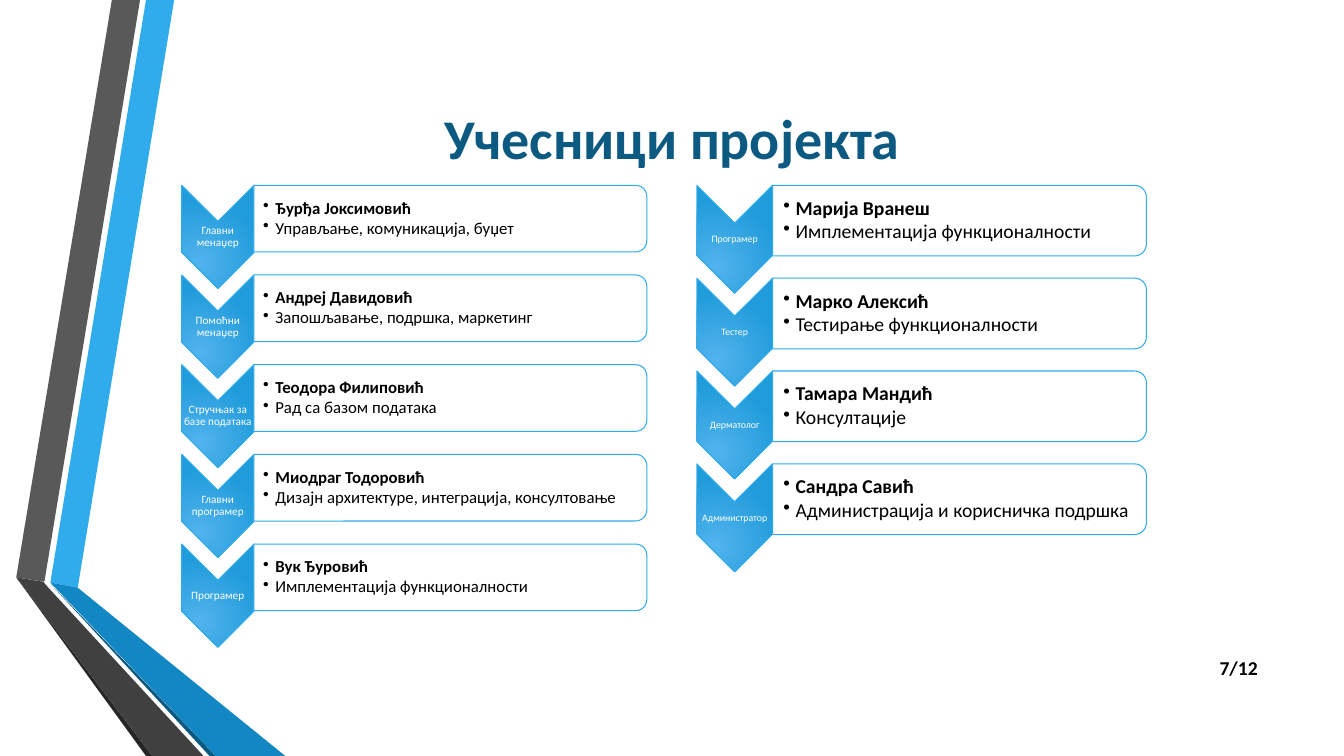
from lxml import etree
from pptx import Presentation
from pptx.dml.color import RGBColor
from pptx.enum.shapes import MSO_SHAPE as Kind
from pptx.enum.text import MSO_ANCHOR as Anchor, PP_ALIGN as Align
from pptx.oxml import parse_xml
from pptx.oxml.ns import nsdecls, qn
from pptx.util import Cm, Pt

FONT = "Calibri"
BLUE = "30ACEC"
GLOW = (
    f'<a:gradFill {nsdecls("a")} rotWithShape="1"><a:gsLst>'
    '<a:gs pos="0"><a:srgbClr val="51B3ED"/></a:gs>'
    '<a:gs pos="100000"><a:srgbClr val="219CDB"/></a:gs></a:gsLst>'
    '<a:path path="circle">'
    '<a:fillToRect l="50000" t="100000" r="100000" b="50000"/>'
    '</a:path></a:gradFill>'
)

BANDS = [
    (BLUE, [(1.27, 14.68), (1.96, 14.81), (4.39, 0), (3.68, 0)]),
    ("595959", [(3.53, 0), (2.82, 0), (0.41, 14.55), (1.12, 14.66)]),
    ("262626", [(0.41, 14.55), (3.68, 19.05), (3.84, 19.05)]),
    ("0C5A82", [(1.27, 14.71), (5.28, 19.05), (5.44, 19.05)]),
    ("1287C3", [(1.27, 14.68), (5.44, 19.05), (7.19, 19.05), (1.96, 14.81)]),
    ("404040", [(5.13, 19.05), (1.22, 14.81), (1.09, 14.66),
                (0.41, 14.55), (3.84, 19.05)]),
]

LEADS = [
    ("Главни менаџер", "Ђурђа Јоксимовић", "Управљање, комуникација, буџет"),
    ("Помоћни менаџер", "Андреј Давидовић", "Запошљавање, подршка, маркетинг"),
    ("Стручњак за базе података", "Теодора Филиповић",
     "Рад са базом података"),
    ("Главни програмер", "Миодраг Тодоровић",
     "Дизајн архитектуре, интеграција, консултовање"),
    ("Програмер", "Вук Ђуровић", "Имплементација функционалности"),
]

STAFF = [
    ("Програмер", "Марија Вранеш", "Имплементација функционалности"),
    ("Тестер", "Марко Алексић", "Тестирање функционалности"),
    ("Дерматолог", "Тамара Мандић", "Консултације"),
    ("Администратор", "Сандра Савић", "Администрација и корисничка подршка"),
]


def color(code):
    return RGBColor.from_string(code)


def paint(shape, code):
    shape.shadow.inherit = False
    shape.fill.solid()
    shape.fill.fore_color.rgb = color(code)


def band(slide, code, spots):
    spots = [(Cm(x), Cm(y)) for x, y in spots]
    build = slide.shapes.build_freeform(*spots[0])
    build.add_line_segments(spots[1:])
    shape = build.convert_to_shape()
    paint(shape, code)
    shape.line.fill.background()


def write(para, text, size, code, bold=False):
    run = para.add_run()
    run.text = text
    run.font.name = FONT
    run.font.size = Pt(size)
    run.font.bold = bold
    run.font.color.rgb = color(code)


def box(slide, left, top, wide, high, pad=0.02):
    frame = slide.shapes.add_textbox(
        Cm(left), Cm(top), Cm(wide), Cm(high)).text_frame
    frame.word_wrap = True
    frame.vertical_anchor = Anchor.MIDDLE
    frame.margin_left = Cm(pad)
    frame.margin_right = frame.margin_top = frame.margin_bottom = Cm(0.02)
    return frame


def turned(slide, kind, left, top, wide, high):
    shape = slide.shapes.add_shape(
        kind, Cm(left + (wide - high) / 2), Cm(top + (high - wide) / 2),
        Cm(high), Cm(wide))
    shape.rotation = 90
    paint(shape, "FFFFFF")
    shape.line.color.rgb = color(BLUE)
    shape.line.width = Pt(0.75)
    return shape


def arrow(slide, role, left, top, wide, high, size):
    shape = turned(slide, Kind.CHEVRON, left, top, wide, high)
    props = shape.element.spPr
    props.replace(props.find(qn("a:solidFill")), parse_xml(GLOW))
    para = box(slide, left, top + wide / 2, wide, high - wide).paragraphs[0]
    para.alignment = Align.CENTER
    para.line_spacing = 0.9
    write(para, role, size, "FFFFFF")


def bullet(para):
    props = para._p.get_or_add_pPr()
    props.set("marL", str(Cm(0.31)))
    props.set("indent", str(Cm(-0.31)))
    etree.SubElement(props, qn("a:buChar")).set("char", "•")


def card(slide, texts, left, top, wide, high, size, pad):
    shape = turned(slide, Kind.ROUND_2_SAME_RECTANGLE, left, top, wide, high)
    tint = shape.element.spPr.find(qn("a:solidFill"))[0]
    etree.SubElement(tint, qn("a:alpha")).set("val", "90000")
    frame = box(slide, left, top, wide, high, pad)
    for i, text in enumerate(texts):
        para = frame.add_paragraph() if i else frame.paragraphs[0]
        para.line_spacing = 0.9
        para.space_after = Pt(size * 0.12)
        bullet(para)
        write(para, text, size, "000000", bold=i == 0)


def column(slide, people, left, step, tip, body, sizes, pad):
    for i, (role, *texts) in enumerate(people):
        top = 4.67 + i * step
        arrow(slide, role, left, top, *tip, sizes[0])
        card(slide, texts, left + tip[0], top, *body, sizes[1], pad)


def title(slide, text):
    shape = slide.shapes.title
    shape.left, shape.top = Cm(3.02), Cm(1.02)
    shape.width, shape.height = Cm(27.84), Cm(4.88)
    frame = shape.text_frame
    frame.vertical_anchor = Anchor.MIDDLE
    para = frame.paragraphs[0]
    para.alignment = Align.CENTER
    write(para, text, 40, "0C5A82", bold=True)


def number(slide, text):
    frame = box(slide, 30.43, 16.31, 1.52, 1.02)
    frame.margin_right = Cm(0.25)
    para = frame.paragraphs[0]
    para.alignment = Align.RIGHT
    write(para, text, 14, "000000", bold=True)


def main():
    deck = Presentation()
    deck.slide_width, deck.slide_height = Cm(33.87), Cm(19.05)
    slide = deck.slides.add_slide(deck.slide_layouts[5])
    for code, spots in BANDS:
        band(slide, code, spots)
    title(slide, "Учесници пројекта")
    column(slide, LEADS, 4.58, 2.26, (1.82, 2.6), (9.9, 1.68), (8, 12), 0.23)
    column(slide, STAFF, 17.56, 2.34, (1.91, 2.72), (9.42, 1.78), (7, 14), 0.27)
    number(slide, "7/12")
    deck.save("out.pptx")


if __name__ == "__main__":
    main()
